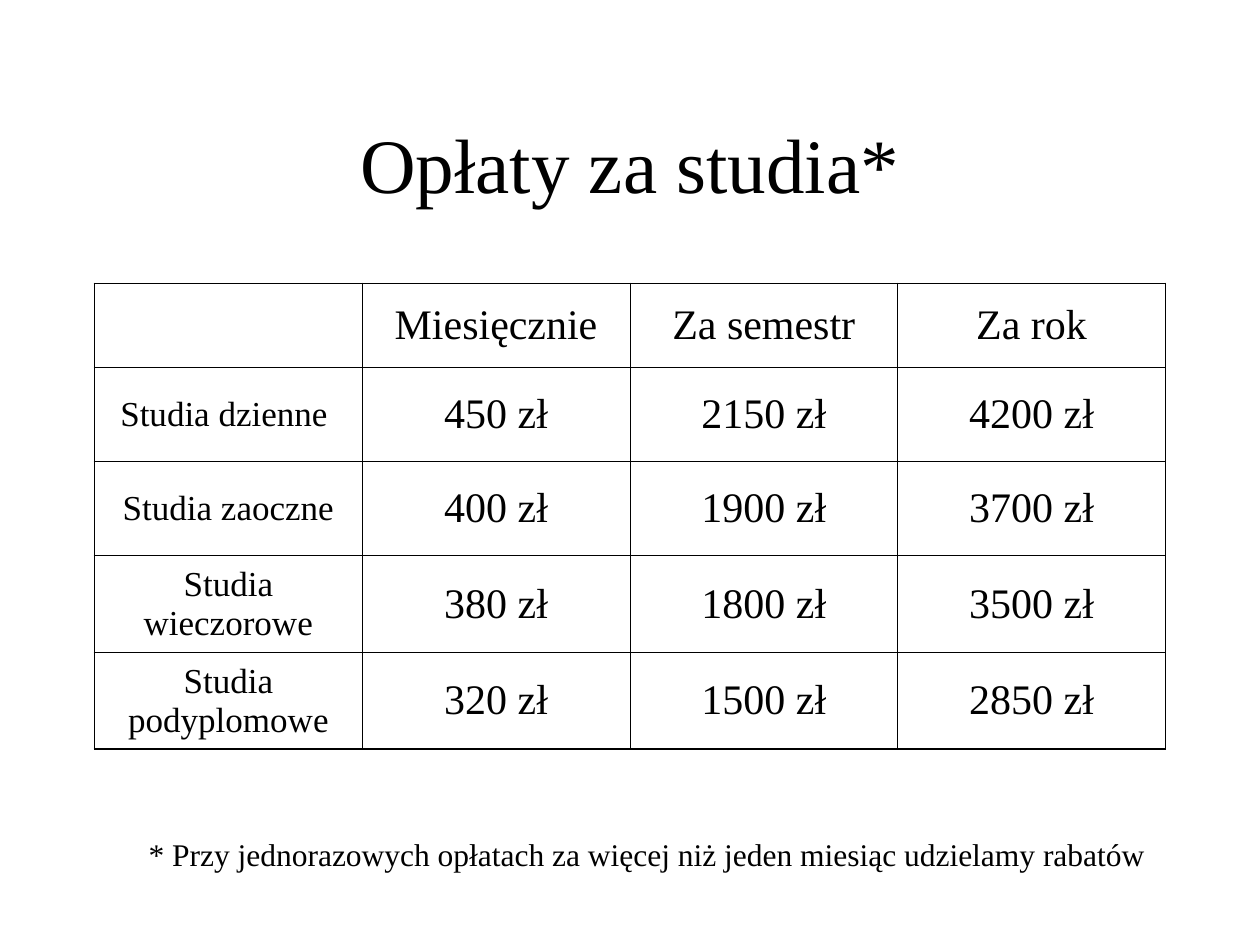
from lxml.etree import SubElement
from pptx import Presentation
from pptx.dml.color import RGBColor
from pptx.enum.text import MSO_ANCHOR, PP_ALIGN
from pptx.oxml.ns import qn
from pptx.util import Pt

BLACK = RGBColor(0, 0, 0)
FONT = "Times New Roman"
OUTER, INNER = Pt(1.08), Pt(0.45)


def write(tf, text, size, align):
    tf.text = text
    p = tf.paragraphs[0]
    p.alignment = align
    p.font.size = Pt(size)
    for r in p.runs:
        r.font.name = FONT
        r.font.size = Pt(size)
        r.font.color.rgb = BLACK


def add_border(cell, side, width):
    """Draw one cell edge; side is L, R, T or B, called in that order."""
    ln = SubElement(cell._tc.get_or_add_tcPr(), qn(f"a:ln{side}"), w=str(width))
    fill = SubElement(ln, qn("a:solidFill"))
    SubElement(fill, qn("a:srgbClr"), val=str(BLACK))


prs = Presentation()
prs.slide_width, prs.slide_height = Pt(720), Pt(540)
s = prs.slides.add_slide(prs.slide_layouts[6])

title = s.shapes.add_textbox(Pt(54), Pt(48), Pt(612), Pt(90))
title.text_frame.word_wrap = True
title.text_frame.vertical_anchor = MSO_ANCHOR.MIDDLE
write(title.text_frame, "Opłaty za studia*", 44, PP_ALIGN.CENTER)

fees = [
    ["", "Miesięcznie", "Za semestr", "Za rok"],
    ["Studia dzienne ", "450 zł", "2150 zł", "4200 zł"],
    ["Studia zaoczne", "400 zł", "1900 zł", "3700 zł"],
    ["Studia wieczorowe", "380 zł", "1800 zł", "3500 zł"],
    ["Studia podyplomowe", "320 zł", "1500 zł", "2850 zł"],
]
row_heights = [48, 53.7, 53.7, 55.4, 55.4]
last_row, last_col = len(fees) - 1, len(fees[0]) - 1

table = s.shapes.add_table(len(fees), len(fees[0]), Pt(54), Pt(162),
                           Pt(612), Pt(sum(row_heights))).table
table.first_row = table.horz_banding = False
for col in table.columns:
    col.width = Pt(612 / len(fees[0]))
for i, (row, height) in enumerate(zip(fees, row_heights)):
    table.rows[i].height = Pt(height)
    for j, text in enumerate(row):
        cell = table.cell(i, j)
        cell.vertical_anchor = MSO_ANCHOR.MIDDLE
        write(cell.text_frame, text, 24 if j else 20, PP_ALIGN.CENTER)
        edges = {"L": j == 0, "R": j == last_col, "T": i == 0, "B": i == last_row}
        for side, is_outer in edges.items():
            add_border(cell, side, OUTER if is_outer else INNER)
        cell.fill.background()

note = s.shapes.add_textbox(Pt(77.8), Pt(473.8), Pt(600), Pt(28.8))
note.text_frame.word_wrap = True
write(note.text_frame,
      "* Przy jednorazowych opłatach za więcej niż jeden miesiąc udzielamy rabatów",
      18, PP_ALIGN.LEFT)

prs.save("out.pptx")
